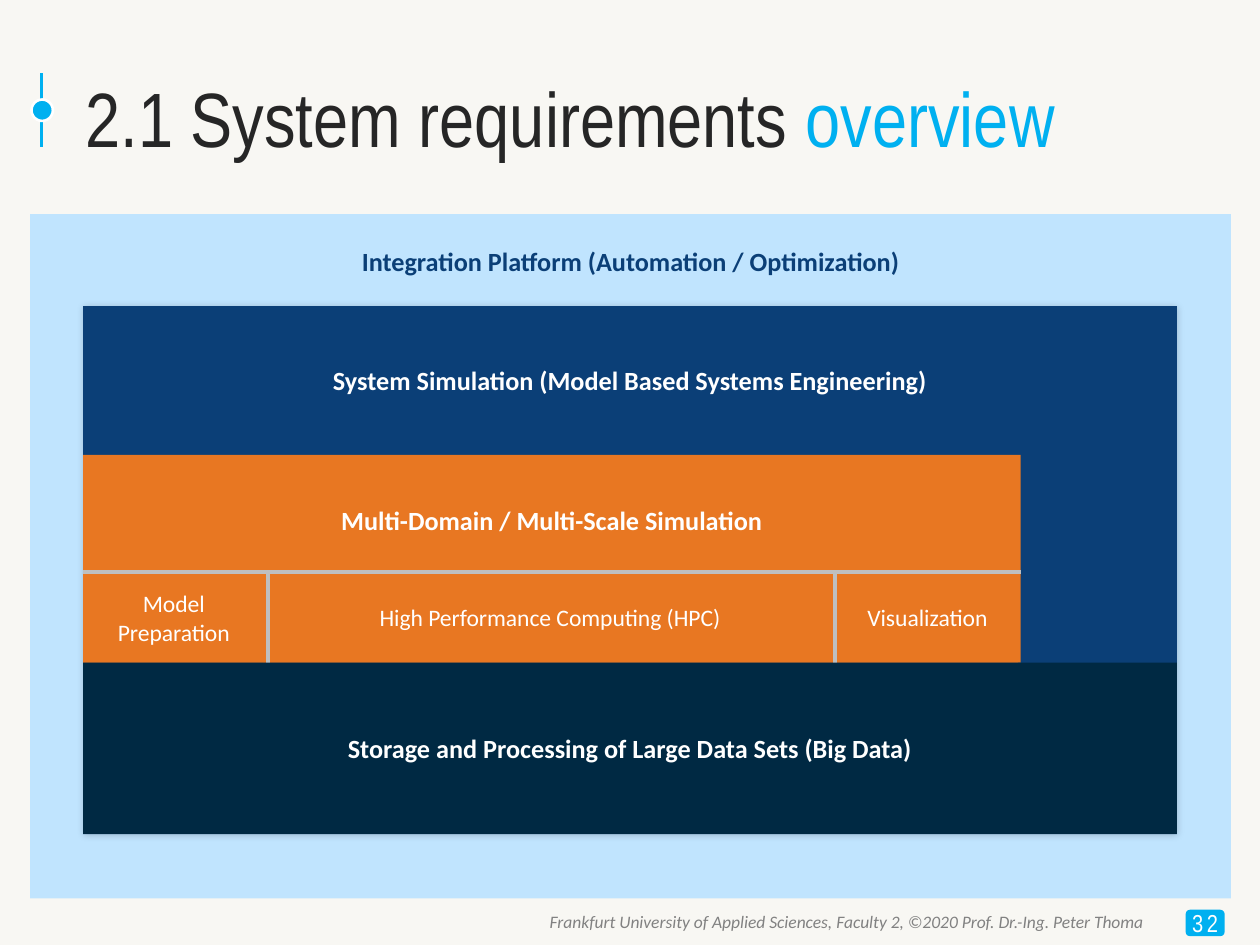
from dataclasses import dataclass

from lxml import etree
from pptx import Presentation
from pptx.dml.color import RGBColor
from pptx.enum.shapes import MSO_CONNECTOR, MSO_SHAPE
from pptx.enum.text import MSO_ANCHOR, PP_ALIGN
from pptx.oxml.ns import qn
from pptx.util import Inches, Pt

RECT, ROUND, OVAL = MSO_SHAPE.RECTANGLE, MSO_SHAPE.ROUNDED_RECTANGLE, MSO_SHAPE.OVAL
STRAIGHT = MSO_CONNECTOR.STRAIGHT
LEFT, CENTER, RIGHT = PP_ALIGN.LEFT, PP_ALIGN.CENTER, PP_ALIGN.RIGHT
TOP, MIDDLE = MSO_ANCHOR.TOP, MSO_ANCHOR.MIDDLE


@dataclass(frozen=True)
class Theme:
    background: str = "F8F7F3"
    accent: str = "00B0F0"
    ink: str = "262626"
    grey: str = "818181"
    divider: str = "BFBFBF"
    white: str = "FFFFFF"
    platform: str = "C0E4FE"
    system: str = "0B3F77"
    simulation: str = "E87722"
    storage: str = "002943"
    heading_font: str = "Arial Narrow"
    body_font: str = "Calibri"
    title_size: float = 44
    layer_size: float = 15
    part_size: float = 13.5
    number_size: float = 14
    footer_size: float = 10


T = Theme()
LAYER = {"size": Pt(T.layer_size), "bold": True}
PART = {"size": Pt(T.part_size)}


def rgb(value):
    return RGBColor.from_string(value)


def write(sp, paragraphs, font, align=CENTER, anchor=MIDDLE, insets=(0.1, 0.05, 0.1, 0.05), wrap=True):
    """Fill a shape with paragraphs, each a list of (text, colour) runs."""
    tf = sp.text_frame
    tf.word_wrap = wrap
    tf.vertical_anchor = anchor
    for side, inset in zip(("left", "top", "right", "bottom"), insets):
        setattr(tf, f"margin_{side}", Inches(inset))
    for i, runs in enumerate(paragraphs):
        p = tf.add_paragraph() if i else tf.paragraphs[0]
        p.alignment = align
        for text, color in runs:
            r = p.add_run()
            r.text = text
            for name, value in {"name": T.body_font, **font}.items():
                setattr(r.font, name, value)
            r.font.color.rgb = rgb(color)


def add_block(s, box, fill, kind=RECT):
    sp = s.shapes.add_shape(kind, *map(Inches, box))
    sp.shadow.inherit = False
    sp.fill.solid()
    sp.fill.fore_color.rgb = rgb(fill)
    sp.line.fill.background()
    return sp


def add_text(s, box, runs, font, **layout):
    sp = s.shapes.add_textbox(*map(Inches, box))
    write(sp, [runs], font, **layout)


def add_line(s, start, end, color, width):
    cx = s.shapes.add_connector(STRAIGHT, *map(Inches, (*start, *end)))
    cx.line.color.rgb = rgb(color)
    cx.line.width = Pt(width)
    etree.SubElement(cx._element.spPr, qn("a:effectLst"))


def add_soft_shadow(sp):
    effects = sp._element.spPr.find(qn("a:effectLst"))
    shadow = etree.SubElement(effects, qn("a:outerShdw"), blurRad=str(Pt(4)),
                              dist=str(Pt(1)), dir=str(45 * 60000), rotWithShape="0")
    color = etree.SubElement(shadow, qn("a:srgbClr"), val="000000")
    etree.SubElement(color, qn("a:alpha"), val="20000")


def add_title(s):
    add_line(s, (0.33, 0.58), (0.33, 1.17), T.accent, 1.5)
    dot = add_block(s, (0.25, 0.79, 0.17, 0.17), T.accent, OVAL)
    dot.line.color.rgb = rgb(T.white)
    dot.line.width = Pt(1.5)
    add_text(s, (0.58, 0.3, 9.3, 1.25),
             [("2.1 System requirements ", T.ink), ("overview", T.accent)],
             {"size": Pt(T.title_size), "name": T.heading_font}, align=LEFT)


def add_footer(s):
    add_text(s, (1.22, 7.18, 7.95, 0.27),
             [("Frankfurt University of Applied Sciences, Faculty 2, ©2020 Prof. Dr.-Ing. Peter Thoma", T.grey)],
             {"size": Pt(T.footer_size), "italic": True}, align=RIGHT, anchor=TOP)
    number = add_block(s, (9.41, 7.22, 0.31, 0.21), T.accent, ROUND)
    write(number, [[("32", T.white)]], {"size": Pt(T.number_size), "name": T.heading_font},
          insets=(0, 0.05, 0, 0.05), wrap=False)
    number.text_frame.paragraphs[0].runs[0].font._element.set("spc", "200")


def add_layers(s):
    """Draw the nested layers from the platform inwards."""
    left, width = 0.66, 8.68
    top, sim_top, part_top, storage_top, bottom = 2.43, 3.61, 4.54, 5.26, 6.62
    sim_right = 8.1

    add_block(s, (0.24, 1.7, 9.53, 5.43), T.platform)
    add_soft_shadow(add_block(s, (left, top, width, bottom - top), T.system))
    add_text(s, (1.1, 2.84, 7.8, 0.35),
             [("System Simulation (Model Based Systems Engineering)", T.white)], LAYER, anchor=TOP)
    add_text(s, (0.81, 1.9, 8.39, 0.35),
             [("Integration Platform (Automation / Optimization)", T.system)], LAYER, anchor=TOP)

    simulation = add_block(s, (left, sim_top, sim_right - left, storage_top - sim_top), T.simulation)
    write(simulation, [[("Multi-Domain / Multi-Scale Simulation", T.white)]], LAYER,
          insets=(0.09, 0.09, 0.09, 0.7))

    parts = [(left, 1.44, ["Model", "Preparation"]),
             (2.09, 4.55, ["High Performance Computing (HPC)"]),
             (6.64, 1.44, ["Visualization"])]
    for x, part_width, lines in parts:
        part = add_block(s, (x, part_top, part_width, storage_top - part_top), T.simulation)
        write(part, [[(line, T.white)] for line in lines], PART)

    add_line(s, (left, part_top), (sim_right, part_top), T.divider, 2.25)
    for x in (2.13, 6.63):
        add_line(s, (x, part_top), (x, storage_top), T.divider, 2.25)

    storage = add_block(s, (left, storage_top, width, bottom - storage_top), T.storage)
    write(storage, [[("Storage and Processing of Large Data Sets (Big Data)", T.white)]], LAYER,
          insets=(0.02,) * 4)


def main():
    prs = Presentation()
    prs.slide_width, prs.slide_height = Inches(10), Inches(7.5)
    s = prs.slides.add_slide(prs.slide_layouts[6])
    s.background.fill.solid()
    s.background.fill.fore_color.rgb = rgb(T.background)
    add_footer(s)
    add_layers(s)
    add_title(s)
    prs.save("out.pptx")


if __name__ == "__main__":
    main()
